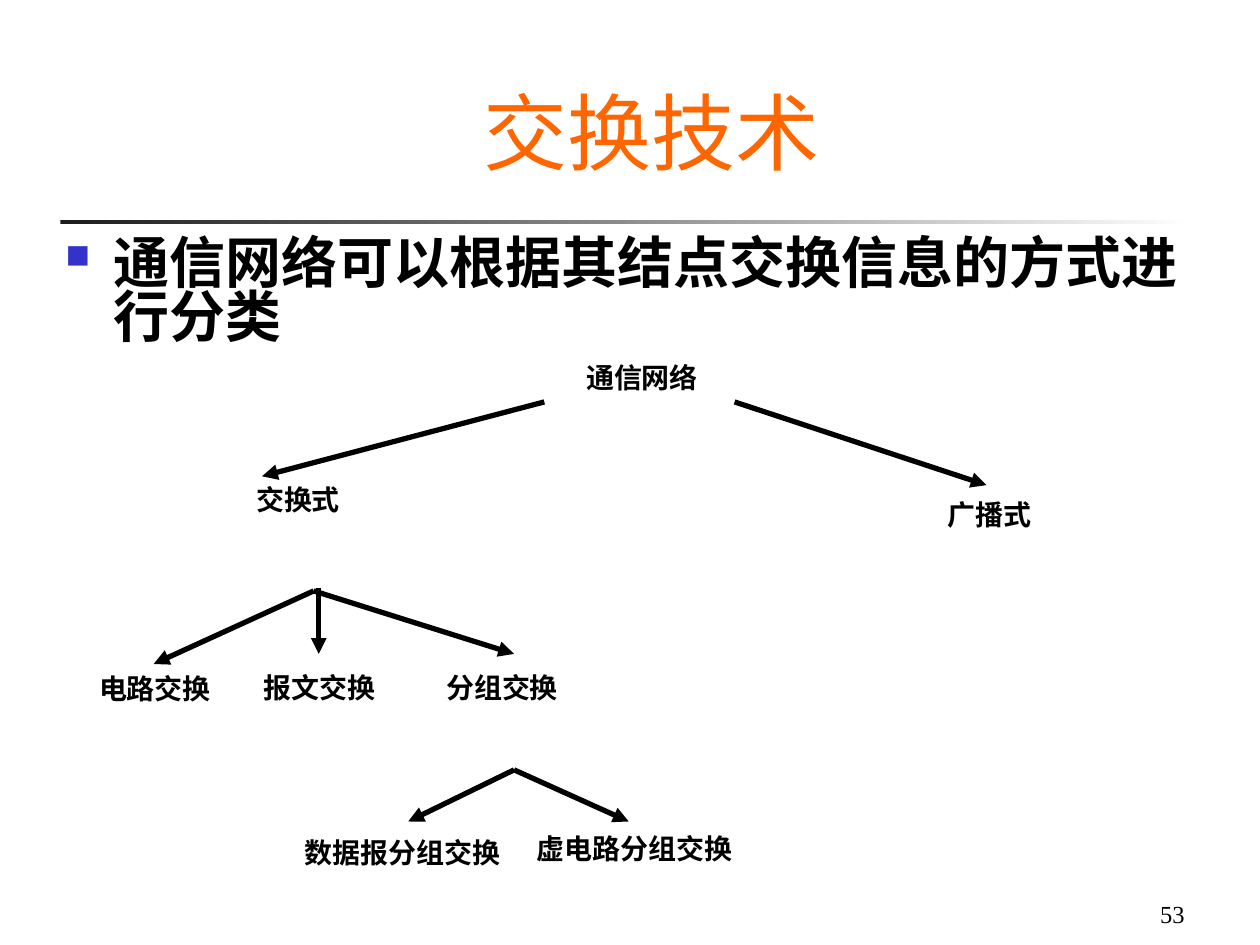
import pptx
import pptx.util
import pptx.dml.color
import pptx.enum.shapes
import pptx.enum.text
import pptx.oxml
import pptx.oxml.ns
import lxml.etree

Inches = pptx.util.Inches
ALIGN = pptx.enum.text.PP_ALIGN
ANCHOR = pptx.enum.text.MSO_ANCHOR
qn = pptx.oxml.ns.qn


def color(hex_string):
    return pptx.dml.color.RGBColor.from_string(hex_string)


def add_text(text, box, size, font, align, anchor=ANCHOR.TOP, fill="000000", bold=False,
             asian_font="Noto Sans CJK SC"):
    """Add a one-paragraph text box and return its paragraph."""
    shape = slide.shapes.add_textbox(*[Inches(value) for value in box])
    shape.text_frame.word_wrap = True
    shape.text_frame.vertical_anchor = anchor
    paragraph = shape.text_frame.paragraphs[0]
    paragraph.text = text
    paragraph.alignment = align
    run = paragraph.runs[0]
    run.font.size = pptx.util.Pt(size)
    run.font.bold = bold
    run.font.color.rgb = color(fill)
    run.font.name = font
    lxml.etree.SubElement(run.font._element, qn("a:ea"), typeface=asian_font)
    return paragraph


presentation = pptx.Presentation()
presentation.slide_width = Inches(10)
presentation.slide_height = Inches(7.5)
slide = presentation.slides.add_slide(presentation.slide_layouts[6])

# Title rule
rule = slide.shapes.add_shape(pptx.enum.shapes.MSO_SHAPE.RECTANGLE,
                              Inches(0.48), Inches(1.75), Inches(9), Inches(0.03))
rule.shadow.inherit = False
rule.line.fill.background()
rule.fill.gradient()
rule.fill.gradient_angle = 0
for stop, stop_color in zip(rule.fill.gradient_stops, ("1C1C1C", "FFFFFF")):
    stop.color.rgb = color(stop_color)

# Title, bullet and slide number
add_text("交换技术", (0.92, 0.5, 8.5, 0.99), 48, "Noto Sans CJK SC", ALIGN.CENTER,
         ANCHOR.BOTTOM, "FF6600")
bullet = add_text("通信网络可以根据其结点交换信息的方式进行分类", (0.42, 1.86, 9.25, 4.77),
                  32, "Cabin", ALIGN.LEFT, bold=True)
bullet.line_spacing = 0.8
properties = bullet._p.get_or_add_pPr()
properties.set("marL", str(Inches(0.38)))
properties.set("indent", str(-Inches(0.38)))
bullet_color = lxml.etree.SubElement(properties, qn("a:buClr"))
lxml.etree.SubElement(bullet_color, qn("a:srgbClr"), val="3333CC")
lxml.etree.SubElement(properties, qn("a:buSzPct"), val="60000")
lxml.etree.SubElement(properties, qn("a:buChar"), char="■")
add_text("53", (7.42, 6.92, 2.08, 0.5), 14, "Times New Roman", ALIGN.RIGHT, ANCHOR.BOTTOM)

# Tree labels: text, left, top, width
labels = [
    ("通信网络", 3.97, 2.81, 2.25),
    ("交换式", 1.24, 3.78, 2.25),
    ("广播式", 6.73, 3.9, 2.25),
    ("电路交换", 0.58, 5.28, 1.3),
    ("报文交换", 1.63, 5.27, 1.81),
    ("分组交换", 2.86, 5.27, 2.25),
    ("数据报分组交换", 2.07, 6.58, 2.25),
    ("虚电路分组交换", 3.91, 6.55, 2.25),
]
for text, left, top, width in labels:
    add_text(text, (left, top, width, 0.37), 16, "Noto Sans CJK TC", ALIGN.CENTER,
             bold=True, asian_font="Noto Sans CJK TC")

# Tree arrows: start x, start y, end x, end y
arrows = [
    (4.32, 3.19, 2.08, 3.78),
    (5.83, 3.19, 7.83, 3.85),
    (2.49, 4.69, 1.22, 5.27),
    (2.53, 4.67, 2.53, 5.19),
    (2.49, 4.69, 4.08, 5.19),
    (4.08, 6.11, 3.24, 6.52),
    (4.08, 6.11, 4.99, 6.52),
]
for points in arrows:
    arrow = slide.shapes.add_connector(pptx.enum.shapes.MSO_CONNECTOR.STRAIGHT,
                                       *[Inches(value) for value in points])
    arrow.line.color.rgb = color("000000")
    arrow.line.width = pptx.util.Pt(3)
    lxml.etree.SubElement(arrow.line._get_or_add_ln(), qn("a:tailEnd"), type="triangle")
    lxml.etree.SubElement(arrow._element.spPr, qn("a:effectLst"))

presentation.save("out.pptx")
